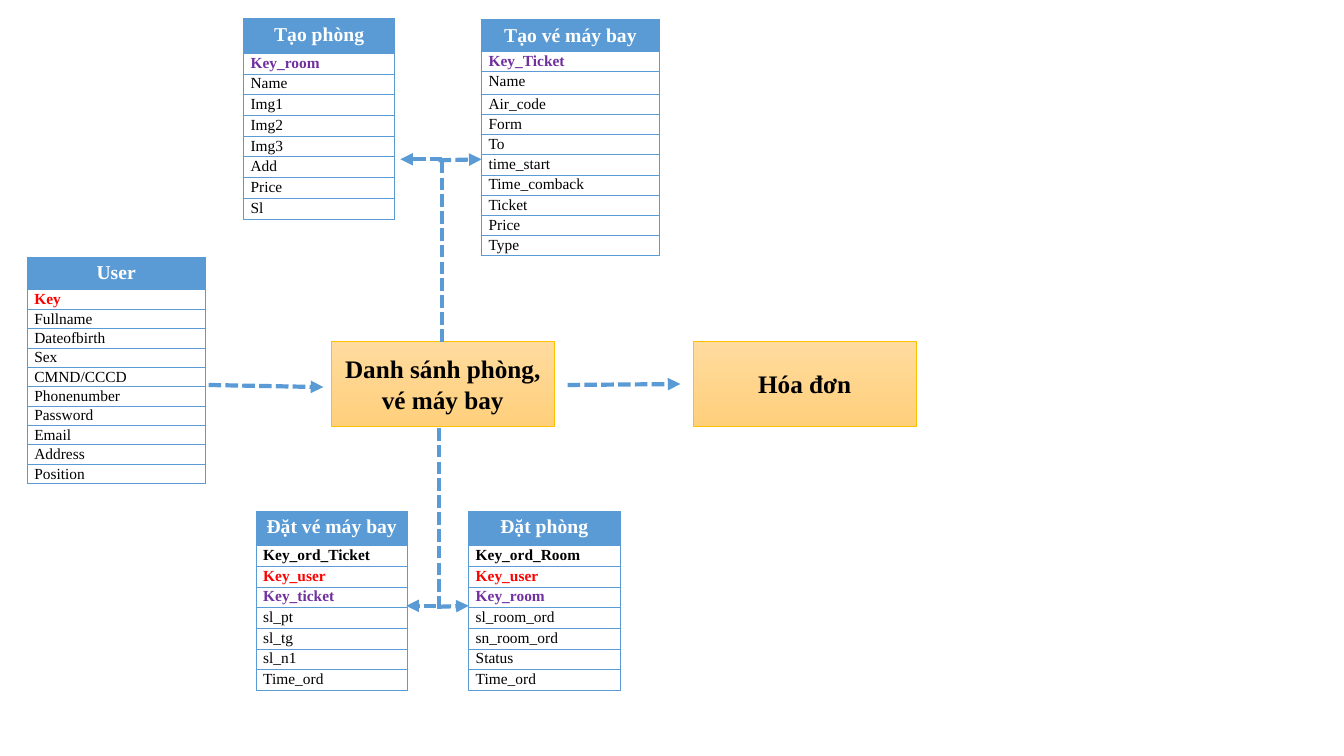
from dataclasses import dataclass

from lxml import etree
from pptx import Presentation
from pptx.dml.color import RGBColor
from pptx.enum import dml, shapes, text
from pptx.oxml import ns
from pptx.util import Pt


@dataclass(frozen=True)
class Theme:
    font: str = "Times New Roman"
    blue: str = "5B9BD5"
    white: str = "FFFFFF"
    black: str = "000000"
    red: str = "FF0000"
    plum: str = "7030A0"
    gold: str = "FFC000"
    light: str = "FFDB9E"
    deep: str = "FFD07C"
    head: float = 14
    row: float = 11
    box: float = 18
    thin: float = 0.5
    thick: float = 3


THEME = Theme()
KEYS = {
    "key": THEME.red,
    "key_user": THEME.red,
    "key_room": THEME.plum,
    "key_ticket": THEME.plum,
}


def tint(code):
    return RGBColor.from_string(code)


def apply(item, **values):
    for name, value in values.items():
        setattr(item, name, value)


def add_node(parent, tag, **values):
    return etree.SubElement(parent, ns.qn(tag), values)


def write(frame, words, size, color, bold, align, spacing=None):
    line = frame.paragraphs[0]
    apply(line, alignment=align, line_spacing=spacing)
    run = line.add_run()
    run.text = words
    apply(run.font, name=THEME.font, size=Pt(size), bold=bold)
    run.font.color.rgb = tint(color)


def set_edges(cell):
    props = cell._tc.get_or_add_tcPr()
    for place, side in enumerate("LRTB"):
        edge = etree.Element(ns.qn(f"a:ln{side}"), w=str(Pt(THEME.thin)))
        fill = add_node(edge, "a:solidFill")
        add_node(fill, "a:srgbClr", val=THEME.blue)
        props.insert(place, edge)


def set_cell(cell, fill, pads):
    cell.fill.solid()
    cell.fill.fore_color.rgb = tint(fill)
    left, top, base = map(Pt, pads)
    apply(cell, margin_left=left, margin_right=left, margin_top=top,
          margin_bottom=base, vertical_anchor=text.MSO_ANCHOR.TOP)
    set_edges(cell)


def add_list(slide, title, fields, left, top, width, head, step, tall=None):
    tall = tall or {}
    sizes = [head] + [tall.get(field, step) for field in fields]
    frame = slide.shapes.add_table(len(sizes), 1, Pt(left), Pt(top),
                                   Pt(width), Pt(sum(sizes)))
    grid = frame.table
    apply(grid, first_row=False, horz_banding=False)
    for row, size in zip(grid.rows, sizes):
        row.height = Pt(size)
    top_cell = grid.cell(0, 0)
    set_cell(top_cell, THEME.blue, (6, 3.6, 2.5))
    write(top_cell.text_frame, title, THEME.head, THEME.white, True,
          text.PP_ALIGN.CENTER)
    for spot, field in enumerate(fields, 1):
        cell = grid.cell(spot, 0)
        set_cell(cell, THEME.white, (5, 0, 0))
        write(cell.text_frame, field, THEME.row,
              KEYS.get(field.lower(), THEME.black), field.startswith("Key"),
              text.PP_ALIGN.JUSTIFY, 1.07)


def add_box(slide, words, left, top, width, height):
    box = slide.shapes.add_shape(shapes.MSO_SHAPE.RECTANGLE, Pt(left), Pt(top),
                                 Pt(width), Pt(height))
    box.shadow.inherit = False
    box.fill.gradient()
    box.fill.gradient_angle = 270
    for stop, code in zip(box.fill.gradient_stops, (THEME.light, THEME.deep)):
        stop.color.rgb = tint(code)
    box.line.color.rgb = tint(THEME.gold)
    box.line.width = Pt(THEME.thin)
    apply(box.text_frame, word_wrap=True, vertical_anchor=text.MSO_ANCHOR.MIDDLE)
    write(box.text_frame, words, THEME.box, THEME.black, True,
          text.PP_ALIGN.CENTER)


def add_link(slide, start, end, arrow=True):
    link = slide.shapes.add_connector(shapes.MSO_CONNECTOR.STRAIGHT,
                                      *map(Pt, start + end))
    link.line.color.rgb = tint(THEME.blue)
    apply(link.line, width=Pt(THEME.thick),
          dash_style=dml.MSO_LINE.SQUARE_DOT)
    if arrow:
        add_node(link.line._get_or_add_ln(), "a:tailEnd", type="triangle")
    add_node(link._element.spPr, "a:effectLst")


def main():
    deck = Presentation()
    apply(deck, slide_width=Pt(960), slide_height=Pt(540))
    slide = deck.slides.add_slide(deck.slide_layouts[6])

    add_list(slide, "User",
             ["Key", "Fullname", "Dateofbirth", "Sex", "CMND/CCCD",
              "Phonenumber", "Password", "Email", "Address", "Position"],
             19.5, 183.6, 127, 23.4, 13.85)
    add_list(slide, "Tạo phòng",
             ["Key_room", "Name", "Img1", "Img2", "Img3", "Add", "Price", "Sl"],
             174, 13.3, 108, 24.7, 14.8)
    add_list(slide, "Tạo vé máy bay",
             ["Key_Ticket", "Name", "Air_code", "Form", "To", "time_start",
              "Time_comback", "Ticket", "Price", "Type"],
             344, 14, 127, 22.6, 14.4, {"Name": 16.4})
    orders = {
        "Đặt vé máy bay": (183, ["Key_ord_Ticket", "Key_user", "Key_ticket",
                                 "sl_pt", "sl_tg", "sl_n1", "Time_ord"]),
        "Đặt phòng": (334.8, ["Key_ord_Room", "Key_user", "Key_room",
                              "sl_room_ord", "sn_room_ord", "Status",
                              "Time_ord"]),
    }
    for title, (left, fields) in orders.items():
        add_list(slide, title, fields, left, 365.2, 108, 24.4, 14.8)

    for words, left in (("Danh sánh phòng, vé máy bay", 236.5),
                        ("Hóa đơn", 495)):
        add_box(slide, words, left, 244, 159.5, 60.5)

    for start, end in (
        ((316, 113.8), (286, 113.8)),
        ((313.2, 114.5), (344, 113.8)),
        ((313.2, 433.4), (334.8, 432.7)),
        ((311.8, 432.7), (290.2, 432.7)),
        ((149, 275), (231, 276.5)),
        ((405.4, 275), (486, 274.3)),
    ):
        add_link(slide, start, end)
    add_link(slide, (316, 244), (316, 114.5), arrow=False)
    add_link(slide, (313.6, 434.9), (313.6, 304.5), arrow=False)

    deck.save("out.pptx")


main()
